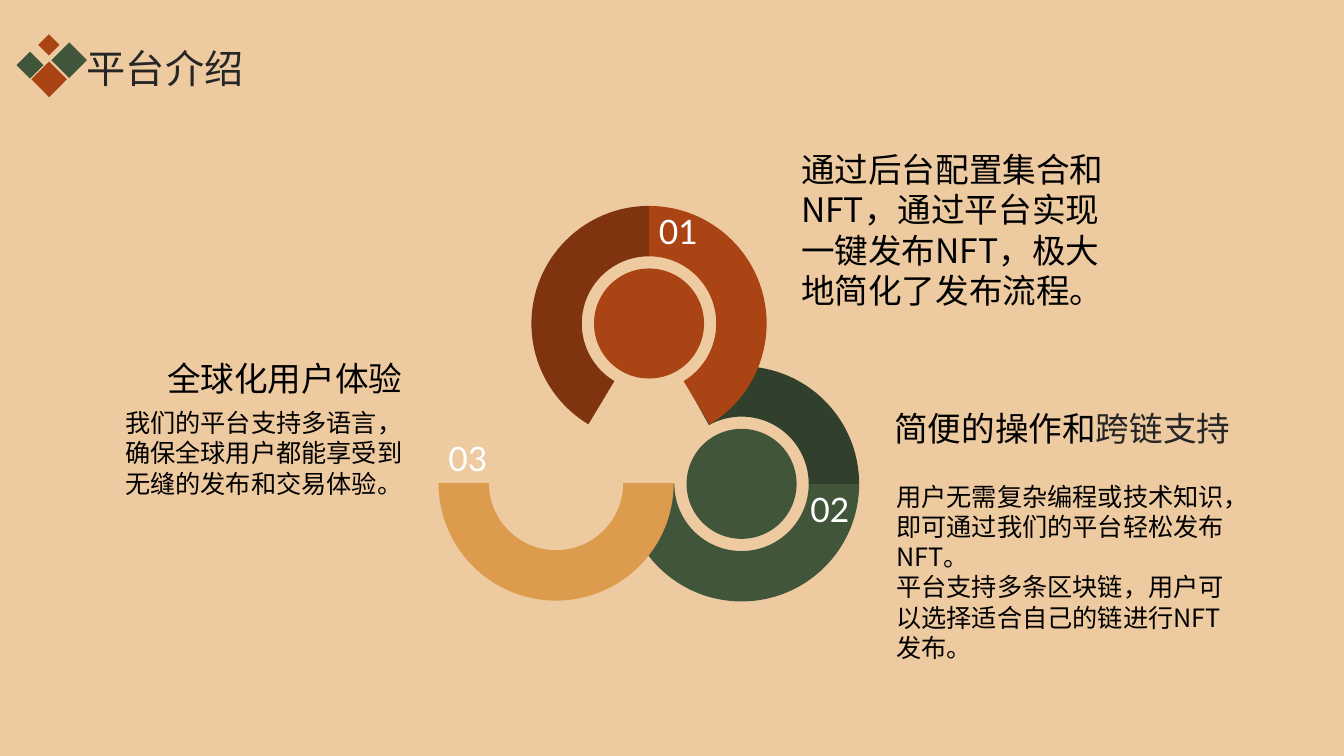
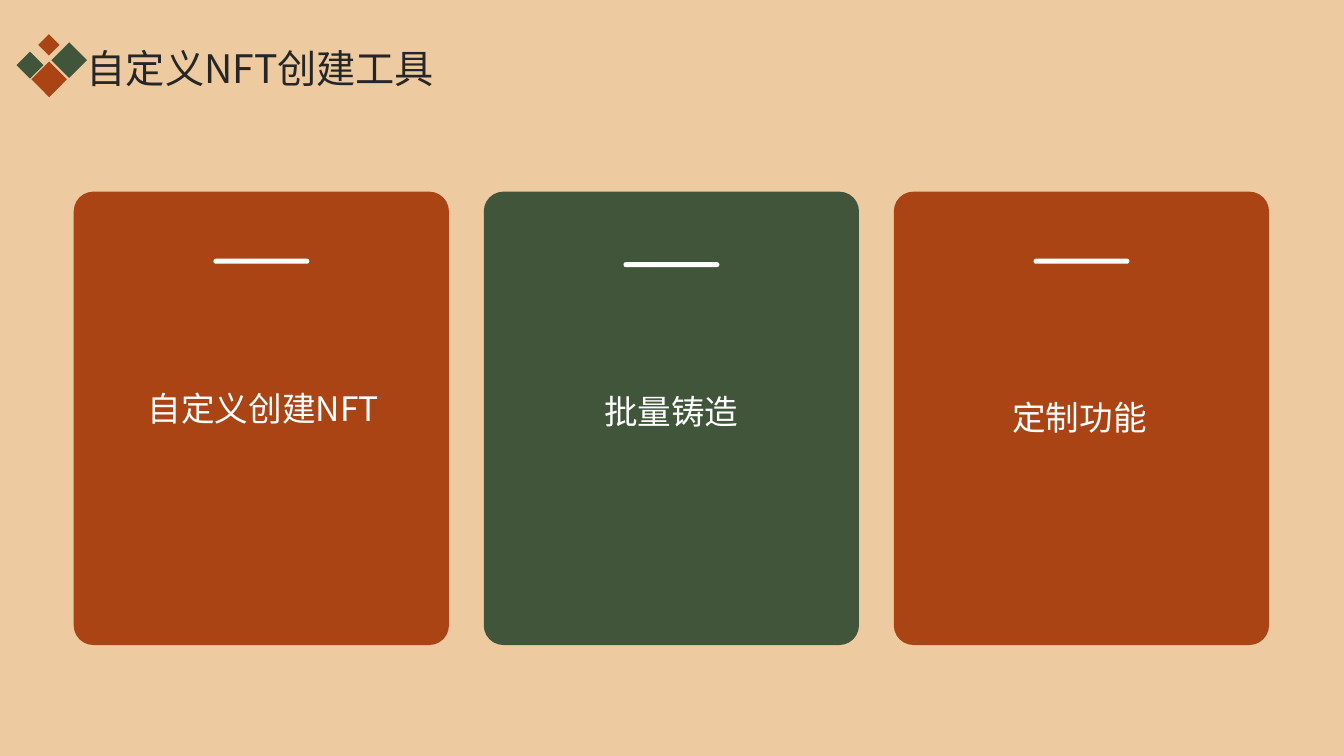
from dataclasses import dataclass
from math import cos, radians, sin, tan

from lxml.etree import SubElement
from pptx import Presentation
from pptx.dml.color import RGBColor
from pptx.enum.shapes import MSO_SHAPE as Preset
from pptx.enum.text import MSO_ANCHOR as Anchor, MSO_AUTO_SIZE as AutoSize, PP_ALIGN as Align
from pptx.oxml.ns import qn
from pptx.util import Pt

SAND, RUST, GREEN = "EDCAA0", "AA4414", "41553A"
DARK_RUST, DARK_GREEN, AMBER = "7F330F", "31402C", "DD9B4D"
BLACK, INK, WHITE = "000000", "262626", "FFFFFF"
CJK, LATIN = "Noto Sans CJK SC", "Lato"
TITLE_ONLY = 5
OUTER, INNER, HUB = 84, 48, 39.3


@dataclass(frozen=True)
class Diamond:
    left: float
    top: float
    size: float
    color: str


@dataclass(frozen=True)
class Segment:
    """Part of a ring, with angles in degrees clockwise from three o'clock."""
    start: int
    end: int
    color: str
    label: str = ""
    align: Align = Align.LEFT
    anchor: Anchor = Anchor.TOP


@dataclass(frozen=True)
class Ring:
    x: float
    y: float
    hub_color: str
    segments: tuple[Segment, ...]


@dataclass(frozen=True)
class Note:
    text: str
    left: float
    top: float
    width: float
    height: float
    size: int = 24
    align: Align = Align.LEFT
    anchor: Anchor = Anchor.TOP
    tail: str = ""


@dataclass(frozen=True)
class Card:
    label: str
    color: str
    bar_top: float
    label_top: float


DIAMONDS = (
    Diamond(26.1, 47.7, 18, RUST),
    Diamond(14.6, 39.7, 13.7, GREEN),
    Diamond(40.4, 34, 18, GREEN),
    Diamond(29.5, 26.7, 10.8, RUST),
)
RINGS = (
    Ring(529.7, 345.6, GREEN, (
        Segment(241, 360, DARK_GREEN),
        Segment(0, 180, GREEN, "02", Align.RIGHT),
    )),
    Ring(397.2, 345, SAND, (
        Segment(180, 299, SAND, "03", anchor=Anchor.BOTTOM),
        Segment(0, 180, AMBER),
    )),
    Ring(463.6, 231.1, RUST, (
        Segment(121, 270, DARK_RUST),
        Segment(270, 419, RUST, "01"),
    )),
)
NOTES = (
    Note("简便的操作和", 638.8, 298, 273, 22.3, anchor=Anchor.BOTTOM, tail="跨链支持"),
    Note("用户无需复杂编程或技术知识，即可通过我们的平台轻松发布NFT。\n"
         "平台支持多条区块链，用户可以选择适合自己的链进行NFT发布。",
         640.3, 343.5, 234.7, 83.5, 18),
    Note("全球化用户体验", 85, 262.8, 202.3, 21.6, align=Align.RIGHT, anchor=Anchor.BOTTOM),
    Note("我们的平台支持多语言，确保全球用户都能享受到无缝的发布和交易体验。",
         85, 291, 202.3, 111, 18, Align.RIGHT),
    Note("通过后台配置集合和NFT，通过平台实现一键发布NFT，极大地简化了发布流程。",
         572.2, 110.7, 234.7, 110.9, anchor=Anchor.BOTTOM),
)
CARDS = (
    Card("自定义创建NFT", RUST, 184.8, 269.3),
    Card("批量铸造", GREEN, 187.2, 271.4),
    Card("定制功能", RUST, 184.8, 275.8),
)


def rgb(color: str) -> RGBColor:
    return RGBColor.from_string(color)


def paint(shape, color: str):
    shape.shadow.inherit = False
    shape.fill.solid()
    shape.fill.fore_color.rgb = rgb(color)
    shape.line.fill.background()
    return shape


def add_span(para, text: str, size: float, color: str, font: str) -> None:
    span = para.add_run()
    span.text = text
    span.font.size = Pt(size)
    span.font.name = font
    span.font.color.rgb = rgb(color)
    SubElement(span.font._element, qn("a:ea")).set("typeface", font)


def write(shape, text: str, *, size: float = 24, color: str = BLACK, font: str = CJK,
          align: Align = Align.LEFT, anchor: Anchor = Anchor.TOP, wrap: bool = True,
          inset: bool = False, tail: str = "") -> None:
    """Write one paragraph with line breaks; tail ends it in the ink colour."""
    frame = shape.text_frame
    frame.auto_size = AutoSize.NONE
    frame.word_wrap = wrap
    frame.vertical_anchor = anchor
    if not inset:
        frame.margin_left = frame.margin_top = frame.margin_right = frame.margin_bottom = 0
    para = frame.paragraphs[0]
    para.alignment = align
    for index, line in enumerate(text.split("\n")):
        if index:
            para.add_line_break()
        add_span(para, line, size, color, font)
    if tail:
        add_span(para, tail, size, INK, font)


def add_box(page, left: float, top: float, width: float, height: float):
    return page.shapes.add_textbox(Pt(left), Pt(top), Pt(width), Pt(height))


def add_preset(page, preset: Preset, left: float, top: float, width: float, height: float,
               color: str):
    shape = page.shapes.add_shape(preset, Pt(left), Pt(top), Pt(width), Pt(height))
    return paint(shape, color)


def add_page(deck, title: str):
    page = deck.slides.add_slide(deck.slide_layouts[TITLE_ONLY])
    heading = page.shapes.title
    heading.left, heading.top, heading.width, heading.height = Pt(62), Pt(30.3), Pt(840), Pt(36.7)
    write(heading, title, size=28, color=INK, anchor=Anchor.MIDDLE)
    for diamond in DIAMONDS:
        shape = add_preset(page, Preset.RECTANGLE, diamond.left, diamond.top,
                           diamond.size, diamond.size, diamond.color)
        shape.rotation = 45
    return page


def arc(ring: Ring, radius: float, stops: list[int]) -> list[tuple[int, int]]:
    """Start point, then two control points and an end point for each piece between stops."""
    def point(angle: float, along: float = 0) -> tuple[int, int]:
        turn = radians(angle)
        return (Pt(ring.x + radius * (cos(turn) - along * sin(turn))),
                Pt(ring.y + radius * (sin(turn) + along * cos(turn))))

    points = [point(stops[0])]
    for start, end in zip(stops, stops[1:]):
        reach = 4 / 3 * tan(radians(end - start) / 4)
        points += [point(start, reach), point(end, -reach), point(end)]
    return points


def bend(shape) -> None:
    """Turn each three lines of both arcs into one curve, keeping the line that joins them."""
    lines = shape._element.findall(".//" + qn("a:lnTo"))
    middle = len(lines) // 2
    curved = lines[:middle] + lines[middle + 1:]
    for index in range(0, len(curved), 3):
        curve, *others = curved[index:index + 3]
        curve.tag = qn("a:cubicBezTo")
        for line in others:
            curve.append(line[0])
            line.getparent().remove(line)


def add_segment(page, ring: Ring, segment: Segment) -> None:
    quarters = [angle for angle in range(0, 450, 90) if segment.start < angle < segment.end]
    stops = [segment.start, *quarters, segment.end]
    first, *rest = arc(ring, OUTER, stops) + arc(ring, INNER, stops[::-1])
    builder = page.shapes.build_freeform(*first)
    builder.add_line_segments(rest, close=True)
    shape = paint(builder.convert_to_shape(), segment.color)
    bend(shape)
    if segment.label:
        write(shape, segment.label, color=WHITE, font=LATIN, align=segment.align,
              anchor=segment.anchor, inset=True)


def add_ring(page, ring: Ring) -> None:
    for segment in ring.segments:
        add_segment(page, ring, segment)
    add_preset(page, Preset.OVAL, ring.x - HUB, ring.y - HUB, 2 * HUB, 2 * HUB, ring.hub_color)


def add_card(page, index: int, card: Card) -> None:
    width, bar_width, corner = 268, 68.5, 14
    left = 52.7 + 292.9 * index
    panel = add_preset(page, Preset.ROUNDED_RECTANGLE, left, 136.9, width, 323.8, card.color)
    panel.adjustments[0] = corner / width
    bar = add_preset(page, Preset.ROUNDED_RECTANGLE, left + (width - bar_width) / 2,
                     card.bar_top, bar_width, 3.6, WHITE)
    bar.adjustments[0] = 0.5
    label = add_box(page, 61 + 291.5 * index, card.label_top, 254, 36.7)
    write(label, card.label, color=WHITE, align=Align.CENTER, anchor=Anchor.BOTTOM, wrap=False)


def main() -> None:
    deck = Presentation()
    deck.slide_width, deck.slide_height = Pt(960), Pt(540)
    backdrop = deck.slide_master.background.fill
    backdrop.solid()
    backdrop.fore_color.rgb = rgb(SAND)

    platform = add_page(deck, "平台介绍")
    for ring in RINGS:
        add_ring(platform, ring)
    for note in NOTES:
        box = add_box(platform, note.left, note.top, note.width, note.height)
        write(box, note.text, size=note.size, align=note.align, anchor=note.anchor,
              tail=note.tail)

    tools = add_page(deck, "自定义NFT创建工具")
    for index, card in enumerate(CARDS):
        add_card(tools, index, card)

    deck.save("out.pptx")


if __name__ == "__main__":
    main()
